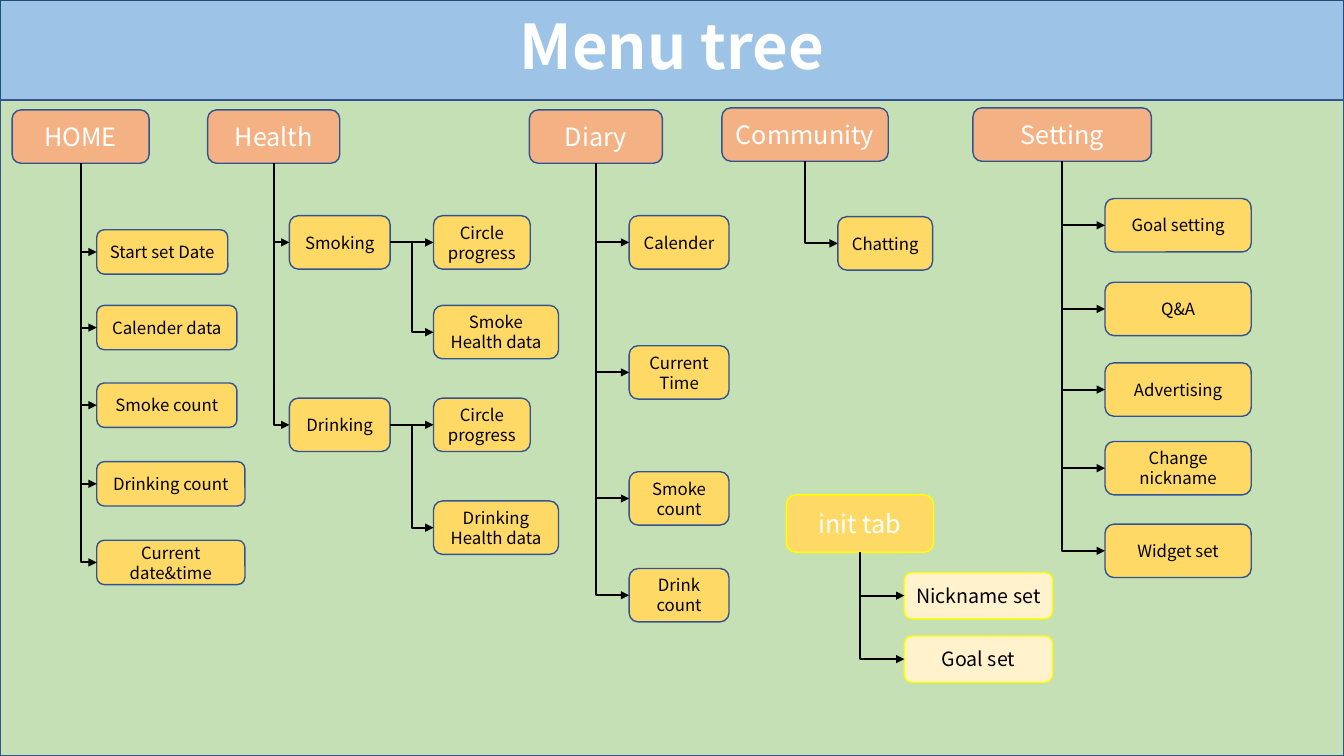
from lxml import etree
from pptx import Presentation
from pptx.dml.color import RGBColor
from pptx.enum import shapes, text
from pptx.oxml import ns
from pptx.util import Inches, Pt

FONT = "Noto Sans CJK KR"
SKY = RGBColor(0x9D, 0xC3, 0xE6)
NAVY = RGBColor(0x1F, 0x4E, 0x79)
GREEN = RGBColor(0xC5, 0xE0, 0xB4)
BLUE = RGBColor(0x32, 0x54, 0x91)
ORANGE = RGBColor(0xF4, 0xB1, 0x83)
GOLD = RGBColor(0xFF, 0xD9, 0x66)
CREAM = RGBColor(0xFF, 0xF2, 0xCC)
YELLOW = RGBColor(0xFF, 0xFF, 0x00)
WHITE = RGBColor(0xFF, 0xFF, 0xFF)
BLACK = RGBColor(0, 0, 0)

MENU = [
    ("HOME", (0.12, 1.09, 1.36, 0.53), 0.84, 0.44, [
        ("Start set Date", 1.19, 1.3, []),
        ("Calender data", 1.94, 1.39, []),
        ("Smoke count", 2.71, 1.39, []),
        ("Drinking count", 3.49, 1.47, []),
        ("Current date&time", 4.27, 1.47, [])]),
    ("Health", (2.06, 1.09, 1.31, 0.53), 0.81, 0.53, [
        ("Smoking", 1.05, 1, [("Circle progress", 0, 0.96),
                              ("Smoke\nHealth data", 0.89, 1.24)]),
        ("Drinking", 2.86, 1, [("Circle progress", 0, 0.96),
                               ("Drinking\nHealth data", 1.02, 1.24)])]),
    ("Diary", (5.25, 1.09, 1.32, 0.53), 0.99, 0.53, [
        ("Calender", 1.05, 0.99, []),
        ("Current Time", 2.34, 0.99, []),
        ("Smoke count", 3.59, 0.99, []),
        ("Drink\ncount", 4.55, 0.99, [])]),
    ("Community", (7.16, 1.07, 1.65, 0.53), 1.15, 0.53, [
        ("Chatting", 1.08, 0.94, [])]),
    ("Setting", (9.65, 1.07, 1.77, 0.53), 1.31, 0.53, [
        ("Goal setting", 0.9, 1.45, []),
        ("Q&A", 1.73, 1.45, []),
        ("Advertising", 2.53, 1.45, []),
        ("Change nickname", 3.31, 1.45, []),
        ("Widget set", 4.13, 1.45, [])]),
]
INIT = ("init tab", (7.8, 4.91, 1.46, 0.57), 1.17, 0.46, [
    ("Nickname set", 0.77, 1.47, []),
    ("Goal set", 1.4, 1.47, [])])


def place(shape, box):
    """Move a shape to a box given in inches."""
    shape.left, shape.top, shape.width, shape.height = map(Inches, box)


def paint(shape, fill, edge, width=1):
    """Give a shape its fill and outline."""
    shape.fill.solid()
    shape.fill.fore_color.rgb = fill
    shape.line.color.rgb = edge
    shape.line.width = Pt(width)


def write(shape, label, size, color, bold=False):
    """Centre a label in a shape."""
    frame = shape.text_frame
    frame.text = label
    frame.word_wrap = True
    frame.auto_size = text.MSO_AUTO_SIZE.NONE
    frame.vertical_anchor = text.MSO_ANCHOR.MIDDLE
    for para in frame.paragraphs:
        para.alignment = text.PP_ALIGN.CENTER
        for run in para.runs:
            run.font.name = FONT
            run.font.size = Pt(size)
            run.font.bold = bold
            run.font.color.rgb = color


def node(slide, label, box, fill, edge, size, color):
    """Add one rounded menu entry."""
    shape = slide.shapes.add_shape(
        shapes.MSO_SHAPE.ROUNDED_RECTANGLE, *map(Inches, box))
    shape.shadow.inherit = False
    paint(shape, fill, edge)
    write(shape, label, size, color)
    shape.text_frame.margin_left = shape.text_frame.margin_right = Inches(0.08)
    return shape


def link(slide, start, end, down):
    """Join two entries with a bent arrow from below or from the side."""
    line = slide.shapes.add_connector(shapes.MSO_CONNECTOR.ELBOW, 0, 0, 0, 0)
    line.begin_connect(start, 2 if down else 3)
    line.end_connect(end, 1)
    line.line.color.rgb = BLACK
    line.line.width = Pt(1.5)
    props = line.element.spPr
    tail = etree.SubElement(props.find(ns.qn("a:ln")), ns.qn("a:tailEnd"))
    tail.set("type", "triangle")
    etree.SubElement(props, ns.qn("a:effectLst"))
    if down:
        wide, high = line.width, line.height
        shift = (wide - high) // 2
        line.left, line.top = line.left + shift, line.top - shift
        line.width, line.height = high, wide
        frame = props.find(ns.qn("a:xfrm"))
        frame.set("rot", "16200000")
        frame.set("flipH", "1")
        props.find(ns.qn("a:prstGeom")).set("prst", "bentConnector2")


def tree(slide, menu, head, leaf):
    """Draw a menu heading with its entries and their side branches."""
    label, box, indent, high, kids = menu
    left, top = box[:2]
    root = node(slide, label, box, *head)
    for name, drop, wide, twigs in kids:
        x, y = left + indent, top + drop
        kid = node(slide, name, (x, y, wide, high), *leaf)
        link(slide, root, kid, True)
        for twig, fall, span in twigs:
            spot = (x + wide + 0.43, y + fall, span, high)
            link(slide, kid, node(slide, twig, spot, *leaf), False)


def banner(slide, box):
    """Format the title as a banner."""
    title = slide.shapes.title
    place(title, box)
    paint(title, SKY, NAVY, 0.75)
    write(title, "Menu tree", 44, WHITE, True)
    title.text_frame.paragraphs[0].line_spacing = 0.9


def panel(slide, box):
    """Add the green area behind the menus."""
    shape = slide.shapes.add_shape(
        shapes.MSO_SHAPE.RECTANGLE, *map(Inches, box))
    shape.shadow.inherit = False
    paint(shape, GREEN, BLUE)


def main():
    """Build and save the slide."""
    deck = Presentation()
    deck.slide_width, deck.slide_height = Inches(13.33), Inches(7.5)
    slide = deck.slides.add_slide(deck.slide_layouts[5])
    panel(slide, (0, 0.99, 13.33, 6.51))
    banner(slide, (0, 0, 13.33, 0.99))
    for menu in MENU:
        tree(slide, menu, (ORANGE, BLUE, 18, WHITE), (GOLD, BLUE, 12, BLACK))
    tree(slide, INIT, (GOLD, YELLOW, 18, WHITE), (CREAM, YELLOW, 14, BLACK))
    deck.save("out.pptx")


if __name__ == "__main__":
    main()
